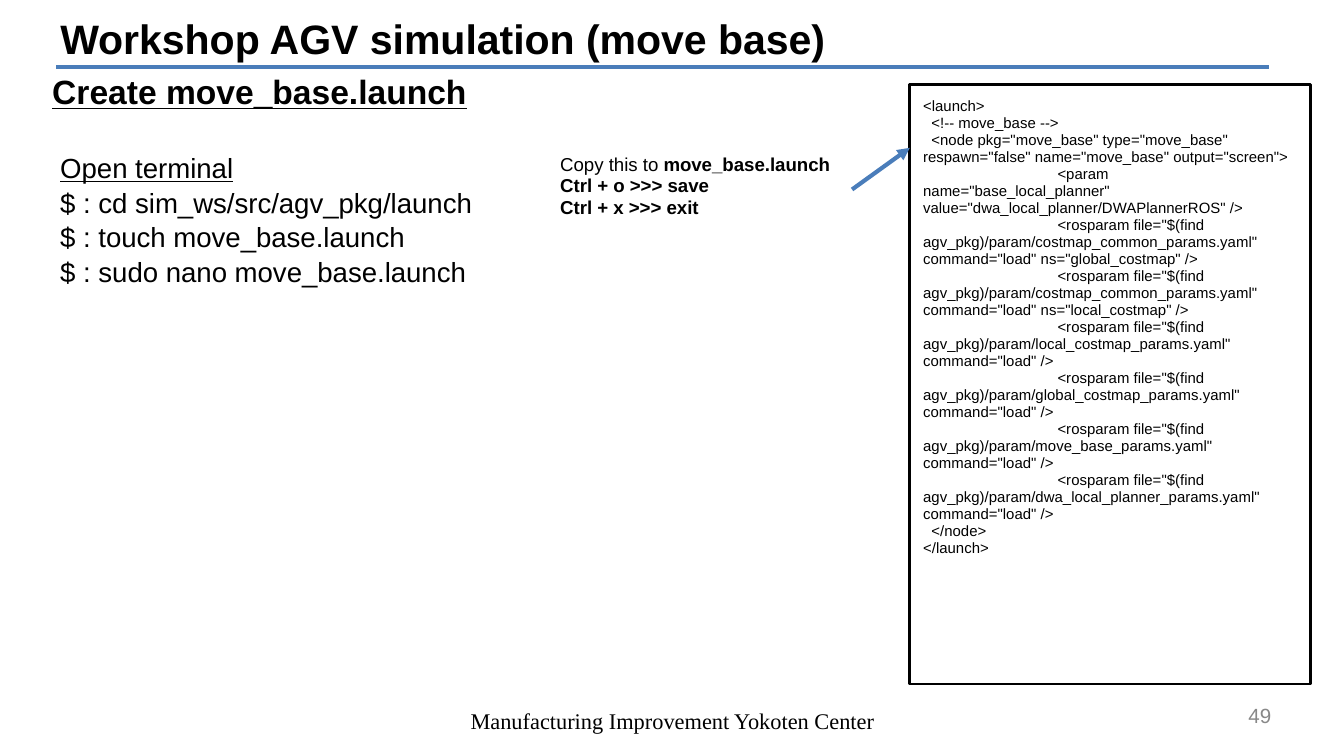
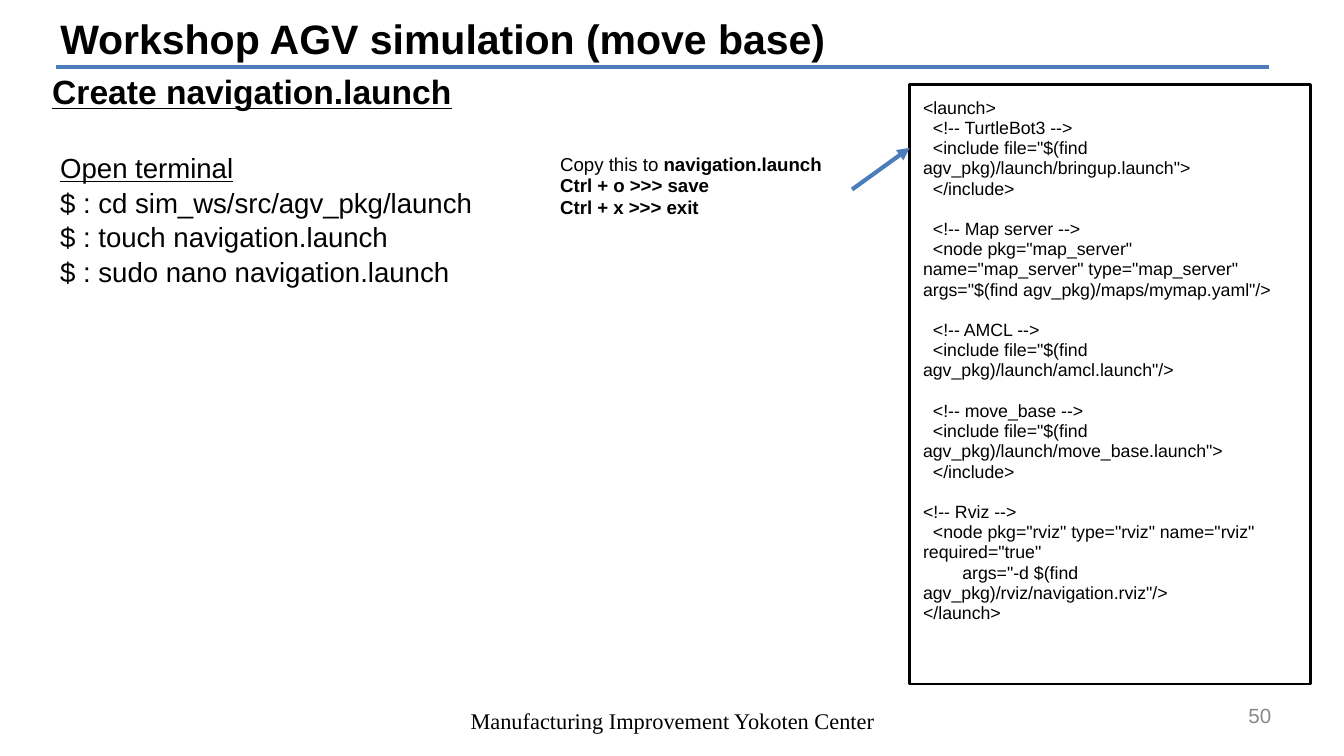
from lxml.etree import SubElement
from pptx import Presentation
from pptx.dml.color import RGBColor
from pptx.enum.shapes import MSO_CONNECTOR, MSO_SHAPE
from pptx.enum.text import MSO_ANCHOR, MSO_AUTO_SIZE, PP_ALIGN
from pptx.oxml.ns import qn
from pptx.util import Inches, Pt

BLACK, GRAY, BLUE = "000000", "888888", "4A7DBA"
TITLE = "Workshop AGV simulation (move base)"
FOOTER = "Manufacturing Improvement Yokoten Center"

MOVE_BASE_CODE = """<launch>
  <!-- move_base -->
  <node pkg="move_base" type="move_base" respawn="false" name="move_base" output="screen">
\t<param name="base_local_planner" value="dwa_local_planner/DWAPlannerROS" />
\t<rosparam file="$(find agv_pkg)/param/costmap_common_params.yaml" command="load" ns="global_costmap" />
\t<rosparam file="$(find agv_pkg)/param/costmap_common_params.yaml" command="load" ns="local_costmap" />
\t<rosparam file="$(find agv_pkg)/param/local_costmap_params.yaml" command="load" />
\t<rosparam file="$(find agv_pkg)/param/global_costmap_params.yaml" command="load" />
\t<rosparam file="$(find agv_pkg)/param/move_base_params.yaml" command="load" />
\t<rosparam file="$(find agv_pkg)/param/dwa_local_planner_params.yaml" command="load" />
  </node>
</launch>"""

NAVIGATION_CODE = """<launch>
  <!-- TurtleBot3 -->
  <include file="$(find agv_pkg)/launch/bringup.launch">
  </include>

  <!-- Map server -->
  <node pkg="map_server" name="map_server" type="map_server" args="$(find agv_pkg)/maps/mymap.yaml"/>

  <!-- AMCL -->
  <include file="$(find agv_pkg)/launch/amcl.launch"/>

  <!-- move_base -->
  <include file="$(find agv_pkg)/launch/move_base.launch">
  </include>

<!-- Rviz -->
  <node pkg="rviz" type="rviz" name="rviz" required="true"
        args="-d $(find agv_pkg)/rviz/navigation.rviz"/>
</launch>"""


def color(value):
    return RGBColor.from_string(value)


def add_span(para, text, size=10, font="Arial", fill=BLACK, bold=False, underline=False):
    span = para.add_run()
    span.text = text
    span.font.name = font
    span.font.size = Pt(size)
    span.font.color.rgb = color(fill)
    span.font.bold = bold
    span.font.underline = underline


class WorkshopDeck:
    """Holds the workshop style and the slide being filled."""

    def __init__(self):
        self.deck = Presentation()
        self.deck.slide_width = Inches(10)
        self.deck.slide_height = Inches(10 * 9 / 16)
        self.page = None

    def fill_frame(self, box, lines, inset=(0.1, 0.1), spacing=None, align=PP_ALIGN.LEFT,
                   anchor=MSO_ANCHOR.TOP, grow=False, **style):
        frame = box.text_frame
        frame.word_wrap = True
        frame.auto_size = MSO_AUTO_SIZE.SHAPE_TO_FIT_TEXT if grow else MSO_AUTO_SIZE.NONE
        frame.vertical_anchor = anchor
        frame.margin_left = frame.margin_right = Inches(inset[0])
        frame.margin_top = frame.margin_bottom = Inches(inset[1])
        for number, spans in enumerate(lines):
            para = frame.add_paragraph() if number else frame.paragraphs[0]
            para.alignment = align
            if spacing:
                para.line_spacing = spacing
            for text, extra in spans:
                add_span(para, text, **{**style, **extra})
        return frame

    def text(self, place, lines, **style):
        box = self.page.shapes.add_textbox(*map(Inches, place))
        self.fill_frame(box, lines, **style)

    def label(self, place, text, **style):
        self.text(place, [[(text, {})]], **style)

    def line(self, start, end, arrow=False):
        line = self.page.shapes.add_connector(MSO_CONNECTOR.STRAIGHT, *map(Inches, start + end))
        line.line.color.rgb = color(BLUE)
        line.line.width = Pt(2.25)
        if arrow:
            SubElement(line.line._get_or_add_ln(), qn("a:tailEnd"), type="triangle")
        SubElement(line._element.spPr, qn("a:effectLst"))

    def code(self, place, source, size):
        box = self.page.shapes.add_shape(MSO_SHAPE.RECTANGLE, *map(Inches, place))
        box.shadow.inherit = False
        box.fill.background()
        box.line.color.rgb = color(BLACK)
        box.line.width = Pt(1.5)
        blocks = [block.split("\n") for block in source.split("\n\n")]
        lines = [[(text, {})] for block in blocks for text in block]
        frame = self.fill_frame(box, lines, spacing=0.95, size=size)
        for para in frame.paragraphs:
            para._p.get_or_add_pPr().set("defTabSz", str(Inches(1)))
        first = 0
        for block in blocks[:-1]:
            first += len(block)
            frame.paragraphs[first].space_before = Pt(size * 1.14)

    def start_page(self, number):
        self.page = self.deck.slides.add_slide(self.deck.slide_layouts[6])
        self.line((0.42, 0.5), (9.44, 0.5))
        self.label((7.22, 5.17, 2.33, 0.3), str(number), inset=(0.09, 0.04), size=11,
                   fill=GRAY, align=PP_ALIGN.RIGHT, anchor=MSO_ANCHOR.MIDDLE)
        self.label((3.08, 5.21, 3.85, 0.3), FOOTER, inset=(0.09, 0.09), size=12,
                   font="Times New Roman", align=PP_ALIGN.CENTER, anchor=MSO_ANCHOR.MIDDLE)
        self.label((0.35, 0, 6.15, 0.57), TITLE, size=22, bold=True, grow=True)

    def launch_page(self, number, launch_file, source, code_size):
        self.start_page(number)
        self.label((0.29, 0.43, 6.22, 0.5), f"Create {launch_file}", size=18,
                   bold=True, underline=True, grow=True)
        commands = ("cd sim_ws/src/agv_pkg/launch", f"touch {launch_file}",
                    f"sudo nano {launch_file}")
        terminal = [[("Open terminal", {"underline": True})]]
        terminal += [[(f"$ : {command}", {})] for command in commands]
        self.text((0.35, 1.01, 3.63, 1.29), terminal, size=14.8, spacing=1.05)
        self.code((6.77, 0.63, 2.98, 4.46), source, code_size)
        strong = {"bold": True}
        self.text((4.07, 1.05, 2.27, 0.72), [
            [("Copy this to ", {}), (launch_file, strong)],
            [("Ctrl + o >>> save", strong)],
            [("Ctrl + x >>> exit", strong)],
        ], size=10, spacing=0.95)
        self.line((6.34, 1.41), (6.77, 1.1), arrow=True)


def main():
    workshop = WorkshopDeck()
    workshop.launch_page(49, "move_base.launch", MOVE_BASE_CODE, 8)
    workshop.launch_page(50, "navigation.launch", NAVIGATION_CODE, 9.5)
    workshop.deck.save("out.pptx")


if __name__ == "__main__":
    main()
